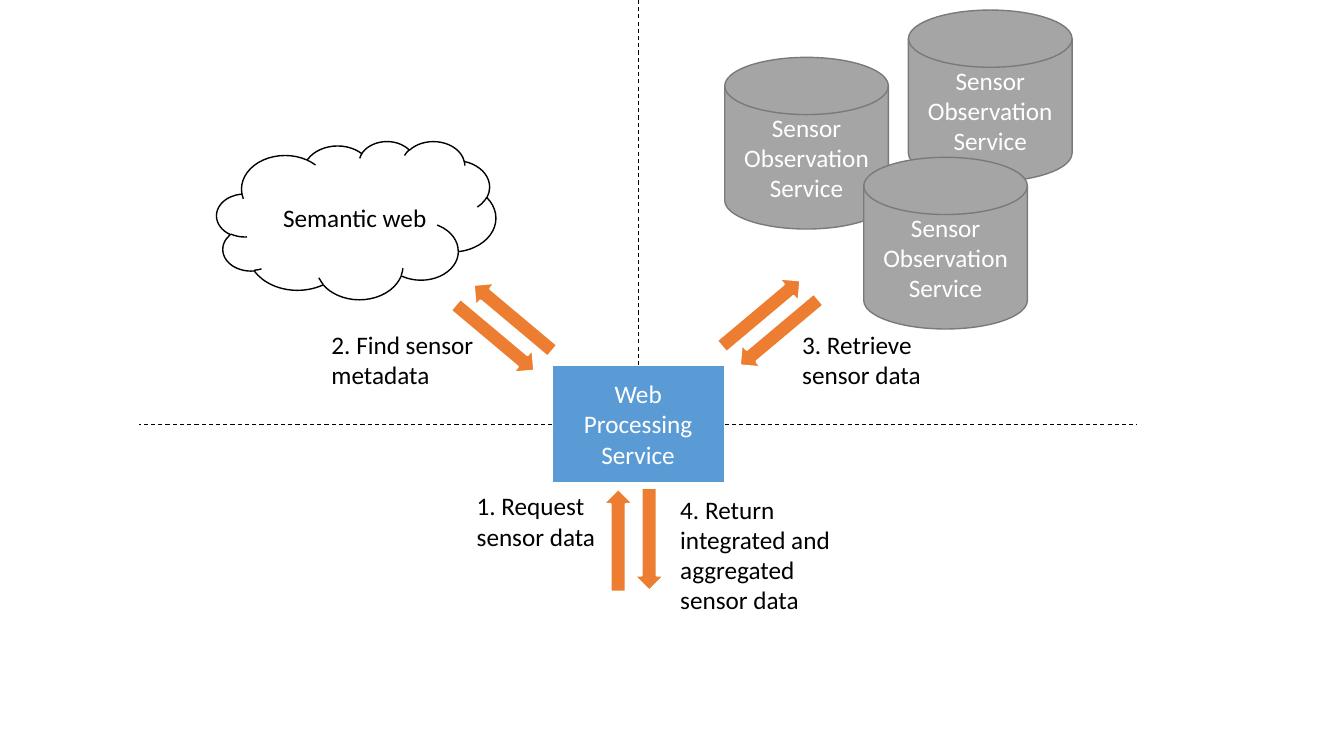
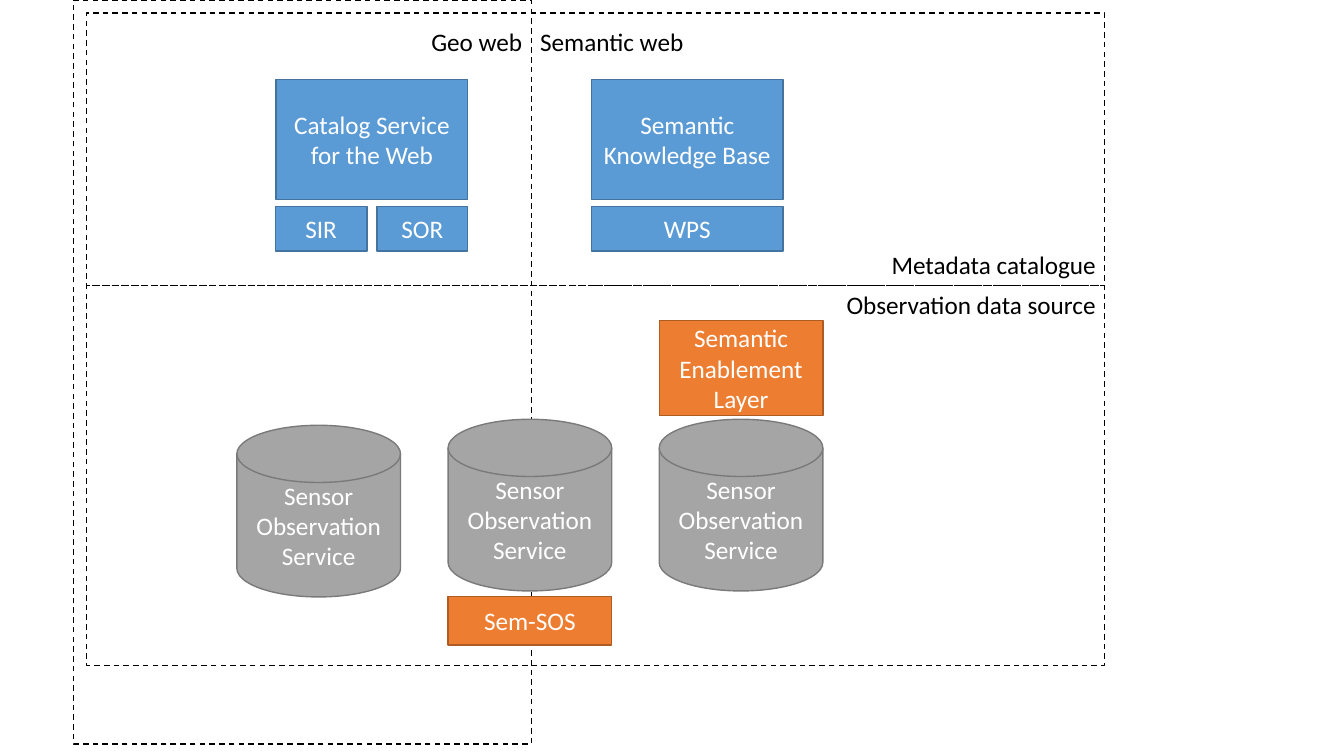
from lxml import etree
from pptx import Presentation
from pptx import util as u
from pptx.dml.color import RGBColor
from pptx.enum import dml, shapes, text
from pptx.oxml import ns

COLORS = {
    "white": "FFFFFF", "black": "000000",
    "grey": "A5A5A5", "grey edge": "7A7A7A",
    "blue": "5B9BD5", "blue edge": "43739E",
    "orange": "ED7D31", "orange edge": "AF5C24",
}
FONT, TEXT_SIZE = "Calibri", 18
DISK_SIZE = (116.9, 122.6)
ARROW_SIZE = (73.4, 21.6)
SHAPE = shapes.MSO_SHAPE
ALIGN = text.PP_ALIGN
SERVICE = "Sensor Observation\nService"


def rgb(name):
    return RGBColor.from_string(COLORS[name])


class Diagram:
    """Holds the deck, the shared style and the current slide."""

    def __init__(self):
        self.deck = Presentation()
        self.deck.slide_width = u.Pt(960)
        self.deck.slide_height = u.Pt(540)
        self.page = None

    def new_page(self):
        self.page = self.deck.slides.add_slide(self.deck.slide_layouts[6])

    def set_text(self, box, words, color, align):
        box.text_frame.word_wrap = True
        box.text_frame.text = words
        for para in box.text_frame.paragraphs:
            para.alignment = align
            para.font.name = FONT
            para.font.size = u.Pt(TEXT_SIZE)
            para.font.color.rgb = rgb(color)

    def stroke(self, line, color, width, dashed=False):
        line.color.rgb = rgb(color)
        line.width = u.Pt(width)
        if dashed:
            line.dash_style = dml.MSO_LINE.DASH

    def shape(self, kind, place, fill, edge, width=1, words="", dashed=False):
        box = self.page.shapes.add_shape(kind, *map(u.Pt, place))
        box.shadow.inherit = False
        if fill:
            box.fill.solid()
            box.fill.fore_color.rgb = rgb(fill)
        else:
            box.fill.background()
        self.stroke(box.line, edge, width, dashed)
        if words:
            box.text_frame.vertical_anchor = text.MSO_ANCHOR.MIDDLE
            self.set_text(box, words, "white", ALIGN.CENTER)
        return box

    def block(self, place, color, words):
        self.shape(SHAPE.RECTANGLE, place, color, color + " edge", words=words)

    def disk(self, left, top, words=SERVICE):
        self.shape(SHAPE.FLOWCHART_MAGNETIC_DISK, (left, top, *DISK_SIZE),
                   "grey", "grey edge", words=words)

    def arrow(self, center_x, center_y, angle):
        width, height = ARROW_SIZE
        place = (center_x - width / 2, center_y - height / 2, width, height)
        arrow = self.shape(SHAPE.RIGHT_ARROW, place, "orange", "white", 1.5)
        arrow.rotation = angle

    def frame(self, place):
        self.shape(SHAPE.RECTANGLE, place, None, "black", dashed=True)

    def label(self, place, words, align=ALIGN.LEFT):
        box = self.page.shapes.add_textbox(*map(u.Pt, place))
        self.set_text(box, words, "black", align)
        box.text_frame.auto_size = text.MSO_AUTO_SIZE.SHAPE_TO_FIT_TEXT

    def divider(self, *ends):
        line = self.page.shapes.add_connector(
            shapes.MSO_CONNECTOR.STRAIGHT, *map(u.Pt, ends))
        self.stroke(line.line, "black", 0.75, dashed=True)
        etree.SubElement(line._element.spPr, ns.qn("a:effectLst"))


diagram = Diagram()

# Slide 1: request flow around the processing service
diagram.new_page()
for left, top in ((517.7, 41), (648.9, 7.2), (617, 112.4)):
    diagram.disk(left, top)
diagram.shape(SHAPE.RECTANGLE, (394, 260.8, 123.7, 84), "blue", "white", 1.5,
              "Web Processing Service")

# Paired arrows: retrieve, find, return and request
for center_x, center_y, angle in (
        (556.6, 237.4, 140), (543.6, 223.9, 320),
        (366.5, 227, 220), (353.5, 241.2, 40),
        (463.7, 385.2, 90), (441.6, 385.9, 270)):
    diagram.arrow(center_x, center_y, angle)

# Cloud and step labels
diagram.shape(SHAPE.CLOUD, (154.8, 100.8, 199.4, 113), "white", "black")
for place, words in (
        ((195.1, 141.1, 123.8, 29), "Semantic web"),
        ((478.8, 349.2, 137.5, 94.3),
         "4. Return integrated and aggregated sensor data"),
        ((333.4, 347, 103, 51), "1. Request sensor data"),
        ((229.7, 231.8, 118, 51), "2. Find sensor metadata "),
        ((565.9, 231.8, 137.5, 51), "3. Retrieve sensor data")):
    diagram.label(place, words)

# Dividers between the three areas
diagram.divider(455.8, 260.8, 455.8, 0)
diagram.divider(517.7, 303.1, 812.2, 303.1)
diagram.divider(394.6, 303.1, 99.4, 303.1)

# Slide 2: catalogue and data sources across both webs
diagram.new_page()
diagram.frame((52.6, 0, 326.9, 531.4))
for left, words in ((197.3, "Catalog Service for the Web"),
                    (422.6, "Semantic Knowledge Base")):
    diagram.block((left, 56.9, 136.8, 85.7), "blue", words)

# Sensor services and their semantic extensions
diagram.disk(169.2, 303.8)
diagram.disk(320.1, 299.5, "Sensor Observation Service")
diagram.disk(470.9, 299.5)
diagram.block((320.1, 426.2, 116.9, 34.6), "orange", "Sem-SOS")
diagram.block((470.9, 229, 116.9, 67.7), "orange", "Semantic Enablement Layer")

# Area labels at the right edge
diagram.label((594, 203, 195.8, 29), "Observation data source", ALIGN.RIGHT)
diagram.label((616.3, 174.2, 173.5, 29), "Metadata catalogue", ALIGN.RIGHT)

# Interfaces under the catalogue services
for left, width, words in ((196.6, 65.5, "SIR"), (269.3, 64.8, "SOR"),
                           (422.6, 136.8, "WPS")):
    diagram.block((left, 147.6, width, 31.7), "blue", words)

# Area frames and web names
diagram.frame((61.9, 203.8, 727.2, 271.4))
diagram.frame((61.9, 9.4, 727.2, 194.4))
diagram.label((206.6, 15.1, 173.5, 29), "Geo web", ALIGN.RIGHT)
diagram.label((378.7, 15.1, 173.5, 29), "Semantic web")

diagram.deck.save("out.pptx")
